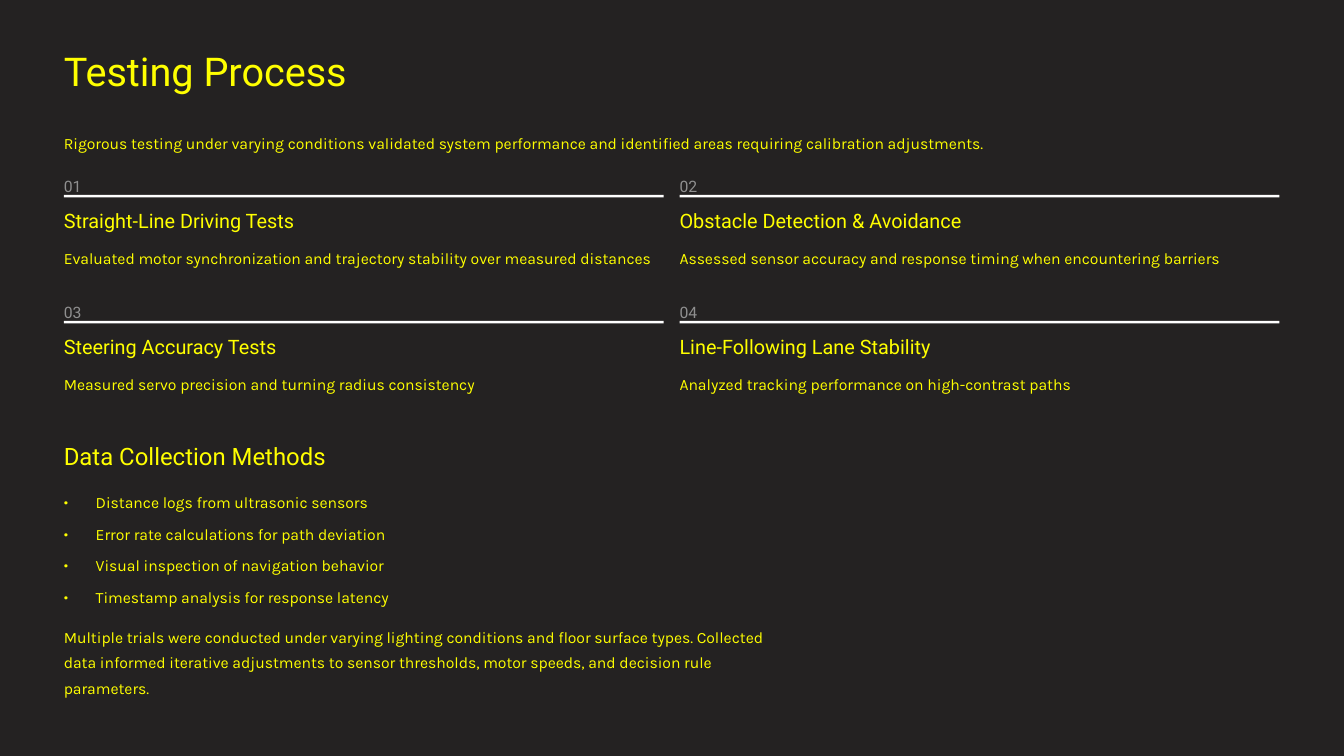
from lxml.etree import SubElement
from pptx import Presentation
from pptx.dml.color import RGBColor
from pptx.enum.shapes import MSO_SHAPE as Preset
from pptx.oxml.ns import qn
from pptx.util import Inches, Pt

YELLOW, GREY, WHITE, DARK = "FFFF00", "8F8F8F", "FFFFFF", "242222"
WIDTH, HEIGHT = 16, 9
LEFT, COLUMN_STEP, COLUMN_WIDTH = 0.76, 7.33, 7.14
TOP, ROW_STEP = 2.02, 1.5
TEXT_WIDTH = 8.5
STYLES = {
    "title": {"name": "Roboto", "size": 34, "line": 43, "color": YELLOW},
    "section": {"name": "Roboto", "size": 20.5, "line": 25.5, "color": YELLOW},
    "heading": {"name": "Roboto", "size": 17, "line": 21.5, "color": YELLOW},
    "number": {"name": "Roboto", "size": 13.5, "line": 22, "color": GREY},
    "body": {"name": "Karla", "size": 13.5, "line": 22, "color": YELLOW},
}
TESTS = [
    ("Straight-Line Driving Tests", 3.05,
     "Evaluated motor synchronization and trajectory stability over measured distances"),
    ("Obstacle Detection & Avoidance", 3.73,
     "Assessed sensor accuracy and response timing when encountering barriers"),
    ("Steering Accuracy Tests", 2.78,
     "Measured servo precision and turning radius consistency"),
    ("Line-Following Lane Stability", 3.31,
     "Analyzed tracking performance on high-contrast paths"),
]
METHODS = [
    "Distance logs from ultrasonic sensors",
    "Error rate calculations for path deviation",
    "Visual inspection of navigation behavior",
    "Timestamp analysis for response latency",
]
INTRO = ("Rigorous testing under varying conditions validated system performance "
         "and identified areas requiring calibration adjustments.")
SUMMARY = ("Multiple trials were conducted under varying lighting conditions and floor "
           "surface types. Collected data informed iterative adjustments to sensor "
           "thresholds, motor speeds, and decision rule parameters.")


def paint(fill, color):
    """Give a fill one solid colour."""
    fill.solid()
    fill.fore_color.rgb = RGBColor.from_string(color)


def add_frame(page, left, top, width, height, wrap=False):
    """Add a text box without margins and return its text frame."""
    box = page.shapes.add_textbox(Inches(left), Inches(top), Inches(width), Inches(height))
    frame = box.text_frame
    margins = dict.fromkeys(("margin_left", "margin_right", "margin_top", "margin_bottom"), 0)
    for key, value in {**margins, "word_wrap": wrap}.items():
        setattr(frame, key, value)
    return frame


def write(para, text, style):
    """Write one styled run into a paragraph."""
    look = STYLES[style]
    para.line_spacing = Pt(look["line"])
    span = para.add_run()
    span.text = text
    for key, value in {"name": look["name"], "size": Pt(look["size"])}.items():
        setattr(span.font, key, value)
    paint(span.font.fill, look["color"])


def add_text(page, text, style, left, top, width, height, wrap=False):
    """Add a text box with a single paragraph."""
    frame = add_frame(page, left, top, width, height, wrap)
    write(frame.paragraphs[0], text, style)


def add_bullets(page, items, left, top, width, height):
    """Add a bulleted list in one text box."""
    frame = add_frame(page, left, top, width, height, True)
    for index, item in enumerate(items):
        para = frame.add_paragraph() if index else frame.paragraphs[0]
        if index:
            para.space_before = Pt(5)
        write(para, item, "body")
        props = para._p.get_or_add_pPr()
        props.set("marL", str(Inches(0.38)))
        props.set("indent", str(Inches(-0.38)))
        SubElement(props, qn("a:buFont"), typeface="Karla")
        SubElement(props, qn("a:buChar"), char="•")


def add_block(page, color, left, top, width, height):
    """Add a plain filled rectangle."""
    block = page.shapes.add_shape(Preset.RECTANGLE, Inches(left), Inches(top),
                                  Inches(width), Inches(height))
    block.shadow.inherit = False
    block.line.fill.background()
    paint(block.fill, color)


def add_test(page, index, heading, heading_width, detail):
    """Add one numbered test to the two-column grid."""
    row, column = divmod(index, 2)
    left, top = LEFT + column * COLUMN_STEP, TOP + row * ROW_STEP
    add_text(page, f"{index + 1:02}", "number", left, top, 0.3, 0.24)
    add_block(page, WHITE, left, top + 0.3, COLUMN_WIDTH, 0.03)
    add_text(page, heading, "heading", left, top + 0.45, heading_width, 0.3)
    add_text(page, detail, "body", left, top + 0.86, COLUMN_WIDTH, 0.31)


def main():
    """Build and save the deck."""
    deck = Presentation()
    deck.slide_width, deck.slide_height = Inches(WIDTH), Inches(HEIGHT)
    page = deck.slides.add_slide(deck.slide_layouts[6])
    add_block(page, DARK, 0, 0, WIDTH, HEIGHT)
    add_text(page, "Testing Process", "title", LEFT, 0.53, 4.78, 0.6)
    add_text(page, INTRO, "body", LEFT, 1.51, 14.47, 0.31)
    for index, test in enumerate(TESTS):
        add_test(page, index, *test)
    add_text(page, "Data Collection Methods", "section", LEFT, 5.24, 3.44, 0.36)
    add_bullets(page, METHODS, LEFT, 5.79, TEXT_WIDTH, 1.43)
    add_text(page, SUMMARY, "body", LEFT, 7.39, TEXT_WIDTH, 0.92, True)
    deck.save("out.pptx")


if __name__ == "__main__":
    main()
